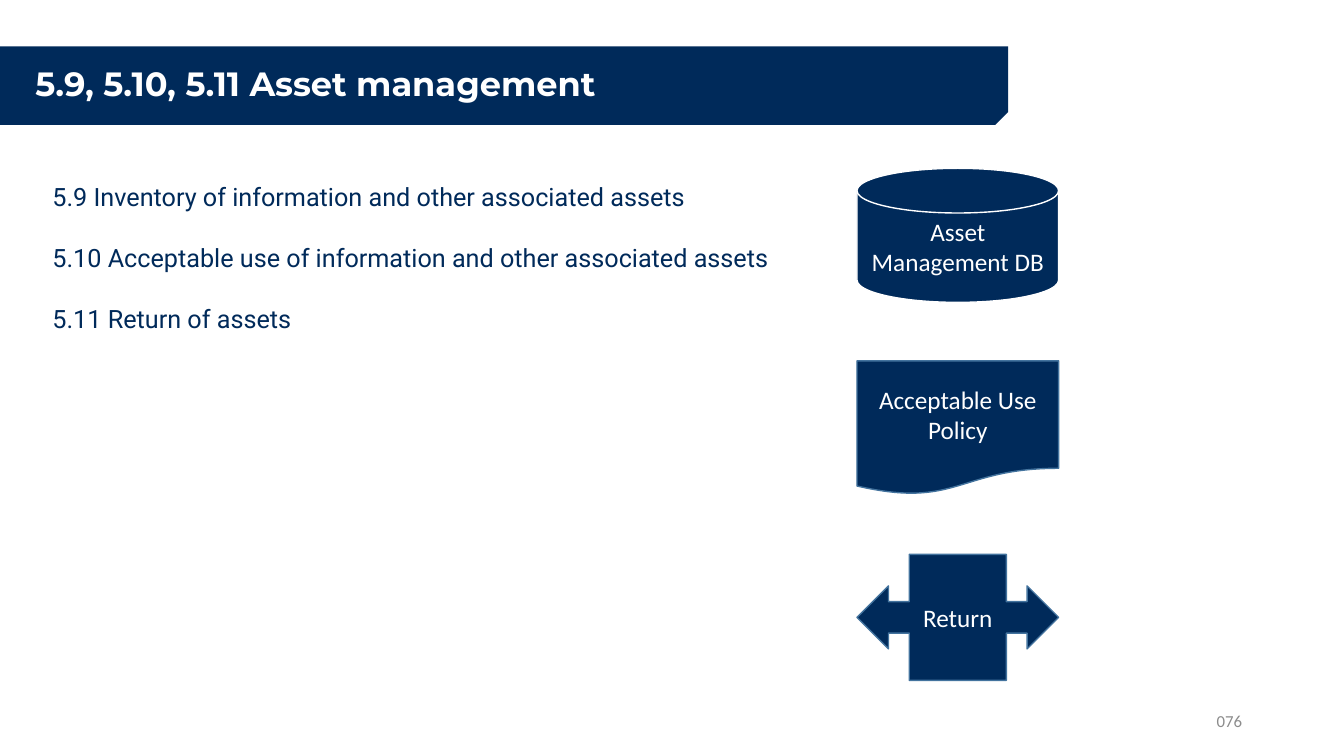
from lxml import etree
from pptx import Presentation
from pptx.dml.color import RGBColor
from pptx.enum import shapes, text
from pptx.oxml import ns
from pptx.util import Inches, Pt

NAVY, WHITE, STEEL, GRAY = "002A5A", "FFFFFF", "43739E", "8C8C8C"


def color(hex_value):
    return RGBColor.from_string(hex_value)


def write(shape, lines, font, frame_format, paragraph_format):
    """Fill a shape with one paragraph per line, all formatted alike."""
    frame = shape.text_frame
    frame.text = "\n".join(lines)
    frame.auto_size = text.MSO_AUTO_SIZE.NONE
    for name, value in frame_format.items():
        setattr(frame, name, value)
    name, size, bold, font_color = font
    for paragraph in frame.paragraphs:
        for attribute, value in paragraph_format.items():
            setattr(paragraph, attribute, value)
        run_font = paragraph.runs[0].font
        run_font.name, run_font.size, run_font.bold = name, Pt(size), bold
        run_font.color.rgb = color(font_color)


presentation = Presentation()
presentation.slide_width, presentation.slide_height = Inches(13.33), Inches(7.5)
slide = presentation.slides.add_slide(presentation.slide_layouts[1])
title, body = slide.placeholders
middle = {"vertical_anchor": text.MSO_ANCHOR.MIDDLE, "word_wrap": True}

# Title banner, behind the title text
banner = slide.shapes.add_shape(
    shapes.MSO_SHAPE.SNIP_ROUND_RECTANGLE, 0, Inches(0.46), Inches(10), Inches(0.78))
banner.adjustments[0], banner.adjustments[1] = 0, 0.167
banner.element.spPr.xfrm.set("flipV", "1")
banner.shadow.inherit = False
banner.fill.solid()
banner.fill.fore_color.rgb = color(NAVY)
banner.line.fill.background()
title.element.addprevious(banner.element)

title.left, title.top, title.width, title.height = map(Inches, (0.25, 0.46, 9.5, 0.78))
write(title, ["5.9, 5.10, 5.11 Asset management"], ("Montserrat", 24, True, WHITE),
      middle, {"alignment": text.PP_ALIGN.LEFT, "line_spacing": 0.9})

# List of controls
controls = [
    "5.9 Inventory of information and other associated assets",
    "5.10 Acceptable use of information and other associated assets",
    "5.11 Return of assets",
]
body.left, body.top, body.width, body.height = map(Inches, (0.42, 1.75, 7.37, 1.62))
write(body, controls, ("Roboto", 18, False, NAVY),
      {"vertical_anchor": text.MSO_ANCHOR.TOP, "word_wrap": False},
      {"alignment": text.PP_ALIGN.LEFT, "space_before": Pt(22)})
body.text_frame.paragraphs[0].space_before = Pt(0)
for paragraph in body.text_frame.paragraphs:
    properties = paragraph._p.get_or_add_pPr()
    properties.set("marL", "0")
    properties.set("indent", "0")
    etree.SubElement(properties, ns.qn("a:buNone"))

# One symbol per control
symbols = [
    (shapes.MSO_SHAPE.FLOWCHART_MAGNETIC_DISK, 1.67, 1.33, WHITE, "Asset Management DB"),
    (shapes.MSO_SHAPE.FLOWCHART_DOCUMENT, 3.58, 1.33, STEEL, "Acceptable Use Policy"),
    (shapes.MSO_SHAPE.LEFT_RIGHT_ARROW_CALLOUT, 5.5, 1.25, STEEL, "Return"),
]
for kind, top, height, line_color, label in symbols:
    symbol = slide.shapes.add_shape(
        kind, Inches(8.5), Inches(top), Inches(2), Inches(height))
    symbol.shadow.inherit = False
    symbol.fill.solid()
    symbol.fill.fore_color.rgb = color(NAVY)
    symbol.line.color.rgb = color(line_color)
    symbol.line.width = Pt(1)
    write(symbol, [label], ("Calibri", 18, False, WHITE), middle,
          {"alignment": text.PP_ALIGN.CENTER})

page_number = slide.shapes.add_textbox(*map(Inches, (9.42, 6.95, 3, 0.4)))
write(page_number, ["076"], ("Calibri", 12, False, GRAY), middle,
      {"alignment": text.PP_ALIGN.RIGHT})

presentation.save("out.pptx")
